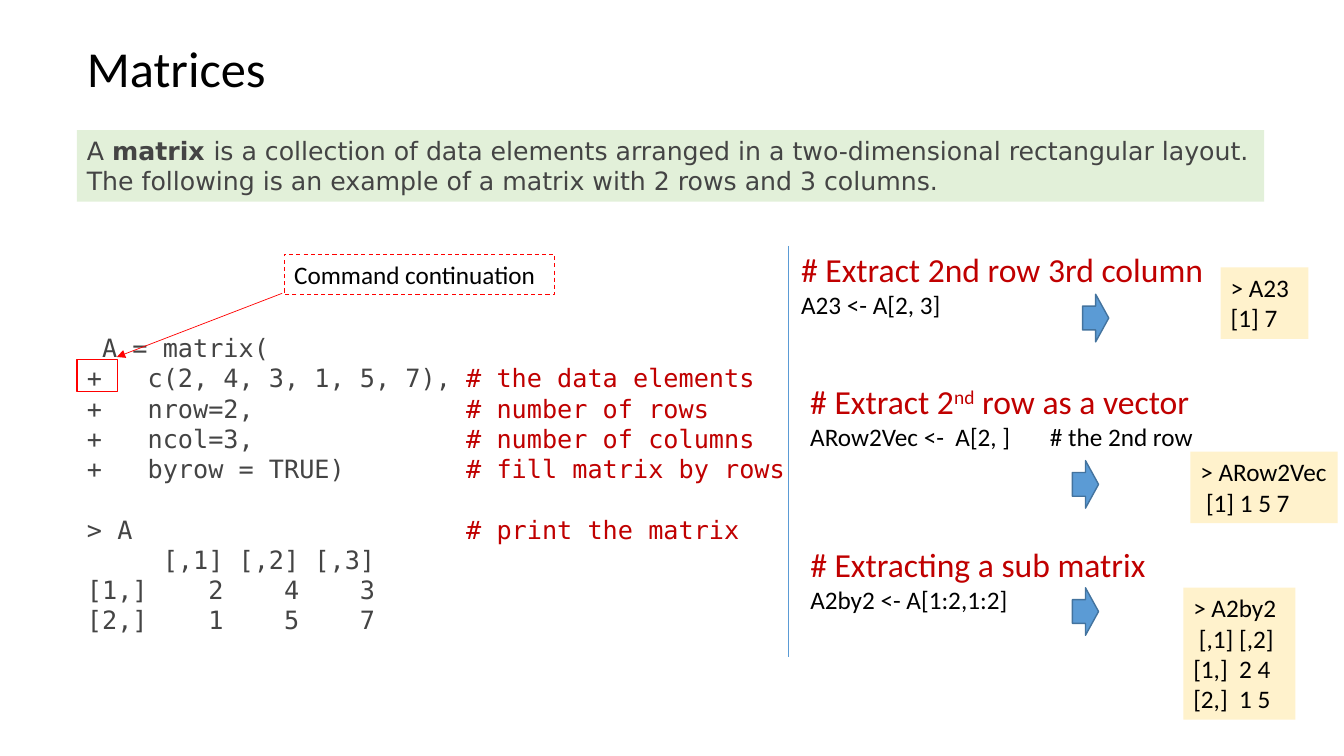
"""Build the slide that introduces matrices in R."""
import pptx
import pptx.dml.color
import pptx.enum.dml
import pptx.enum.shapes
import pptx.enum.text
import pptx.oxml.ns
import pptx.util

Pt = pptx.util.Pt
SHAPE = pptx.enum.shapes.MSO_SHAPE


def rgb(value):
    return pptx.dml.color.RGBColor.from_string(value)


class Deck:
    font, mono, sans = "Calibri", "DejaVu Sans Mono", "DejaVu Sans"
    black, gray, dark_red, red = "000000", "444444", "C00000", "FF0000"
    green, cream, blue, navy = "E2F0D9", "FFF2CC", "5B9BD5", "43739E"

    def __init__(self):
        self.prs = pptx.Presentation()
        self.prs.slide_width, self.prs.slide_height = Pt(960), Pt(540)
        self.s = self.prs.slides.add_slide(self.prs.slide_layouts[6])

    def label(self, sp, paragraphs, size=18, font=font, color=black):
        tf = sp.text_frame
        tf.word_wrap = True
        tf.vertical_anchor = pptx.enum.text.MSO_ANCHOR.TOP
        for i, runs in enumerate(paragraphs):
            p = tf.paragraphs[0] if i == 0 else tf.add_paragraph()
            p.alignment = pptx.enum.text.PP_ALIGN.LEFT
            for text, style in [(runs, {})] if isinstance(runs, str) else runs:
                r = p.add_run()
                r.text = text
                r.font.name = font
                r.font.size = Pt(style.get("size", size))
                r.font.bold = style.get("bold", False)
                r.font.color.rgb = rgb(style.get("color", color))
                if "baseline" in style:
                    r._r.get_or_add_rPr().set("baseline", style["baseline"])
        return tf

    def text(self, box, paragraphs, **style):
        sp = self.s.shapes.add_textbox(*map(Pt, box))
        return self.label(sp, paragraphs, **style)

    def shape(self, box, kind=SHAPE.RECTANGLE, fill=None, line=None, width=1, dash=None):
        sp = self.s.shapes.add_shape(kind, *map(Pt, box))
        sp.shadow.inherit = False
        if fill:
            sp.fill.solid()
            sp.fill.fore_color.rgb = rgb(fill)
        else:
            sp.fill.background()
        if line:
            sp.line.color.rgb = rgb(line)
            sp.line.width = Pt(width)
            sp.line.dash_style = dash
        else:
            sp.line.fill.background()
        return sp

    def line(self, start, end, color, arrow=False):
        straight = pptx.enum.shapes.MSO_CONNECTOR.STRAIGHT
        cn = self.s.shapes.add_connector(straight, *map(Pt, start + end))
        cn.line.color.rgb = rgb(color)
        cn.line.width = Pt(0.5)
        qn, props = pptx.oxml.ns.qn, cn._element.spPr
        if arrow:
            tail = props.makeelement(qn("a:tailEnd"), {"type": "triangle"})
            props.find(qn("a:ln")).append(tail)
        props.append(props.makeelement(qn("a:effectLst"), {}))

    def code(self, box, rows):
        paragraphs = [
            [(left.ljust(25), {}), (note, {"color": self.dark_red})] if note else left
            for left, note in rows
        ]
        self.text(box, paragraphs, font=self.mono, color=self.gray)

    def example(self, heading_box, heading, command, arrow_at, output_box, output):
        red = {"size": 24, "color": self.dark_red}
        runs = [(text, {**red, **style}) for text, style in heading]
        self.text(heading_box, [runs, command])
        self.shape(arrow_at + (18.7, 34), SHAPE.RIGHT_ARROW, self.blue, self.navy)
        self.label(self.shape(output_box, fill=self.cream), output)


def main():
    d = Deck()
    tf = d.text((55, 24, 660, 54), ["Matrices"], size=36)
    tf.vertical_anchor = pptx.enum.text.MSO_ANCHOR.MIDDLE
    tf.paragraphs[0].line_spacing = 0.9

    definition = [
        ("A ", {}),
        ("matrix ", {"bold": True}),
        ("is a collection of data elements arranged in a two-dimensional rectangular "
         "layout. The following is an example of a matrix with 2 rows and 3 columns.", {}),
    ]
    banner = d.shape((55, 93, 848, 51), fill=d.green)
    d.label(banner, [definition], font=d.sans, color=d.gray)

    d.code((55, 234, 578, 225), [
        (" A = matrix(", ""),
        ("+   c(2, 4, 3, 1, 5, 7),", "# the data elements"),
        ("+   nrow=2,", "# number of rows"),
        ("+   ncol=3,", "# number of columns"),
        ("+   byrow = TRUE)", "# fill matrix by rows"),
        (" ", ""),
        ("> A", "# print the matrix"),
        ("     [,1] [,2] [,3]", ""),
        ("[1,]    2    4    3", ""),
        ("[2,]    1    5    7", ""),
    ])
    d.shape((55, 257, 29, 22.5), line=d.red)
    d.line((201.6, 209.5), (83.5, 255), d.red, arrow=True)
    dash = pptx.enum.dml.MSO_LINE.DASH
    callout = d.shape((203, 181.5, 193, 29), line=d.red, width=0.75, dash=dash)
    d.label(callout, ["Command continuation"])
    d.line((563, 175.7), (563, 469.4), d.blue)

    d.example((565.2, 174.2, 316, 58), [("# Extract 2nd row 3rd column", {})],
              "A23 <- A[2, 3]", (773.3, 210.2),
              (872, 191, 62.6, 51), ["> A23", "[1] 7"])
    d.example((571.7, 268.6, 388, 58),
              [("# Extract 2", {}), ("nd", {"baseline": "30000"}), (" row as a vector", {})],
              "ARow2Vec <-  A[2, ]       # the 2nd row", (766, 329),
              (850.3, 322.6, 105.2, 51), ["> ARow2Vec", " [1] 1 5 7"])
    d.example((571.7, 385.2, 264, 58), [("# Extracting a sub matrix", {})],
              "A2by2 <- A[1:2,1:2]", (766, 419.8),
              (845.3, 419.8, 80, 94.3),
              ["> A2by2", " [,1] [,2]", "[1,]  2 4", "[2,]  1 5"])
    d.prs.save("out.pptx")


if __name__ == "__main__":
    main()
